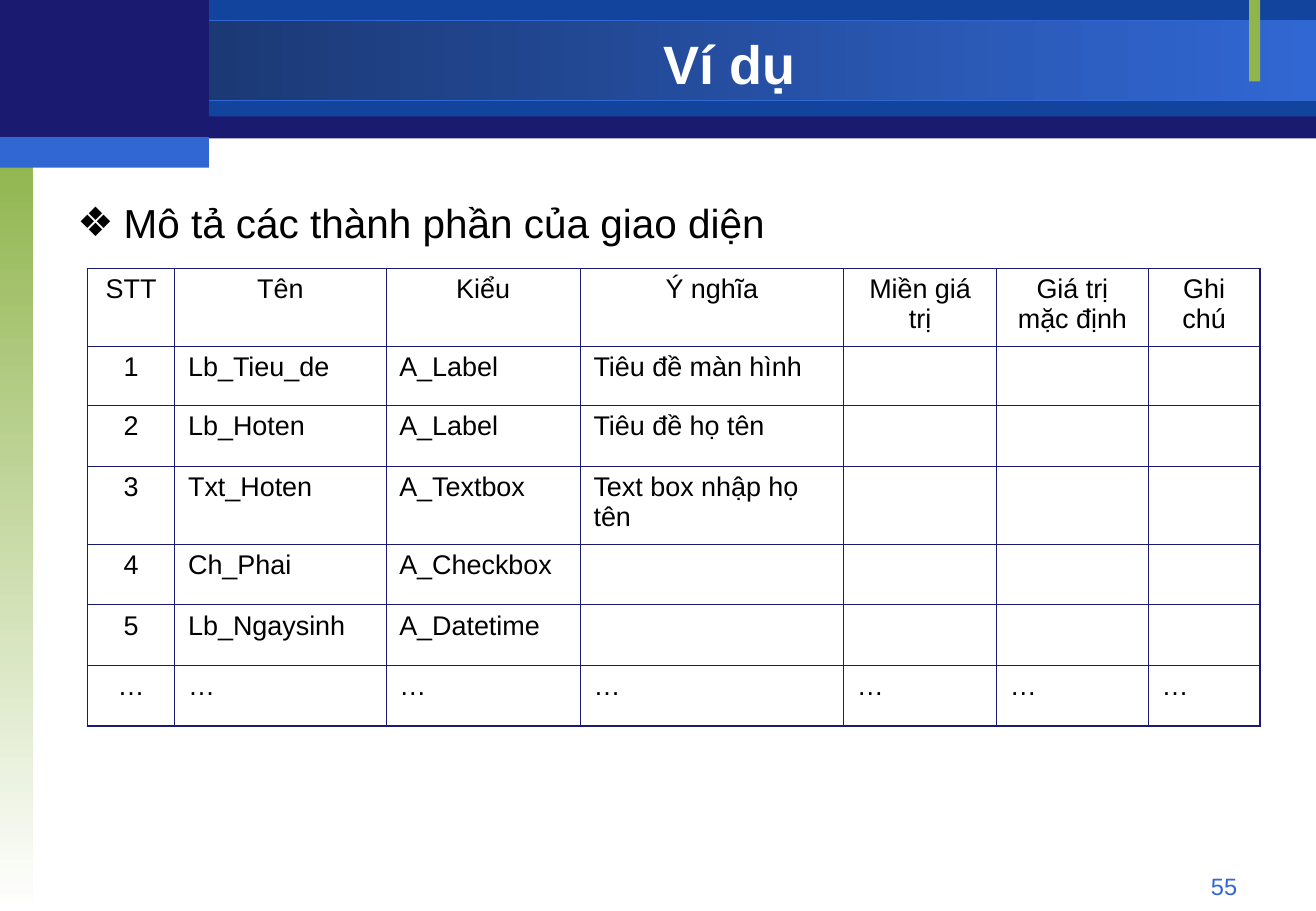
from lxml.etree import SubElement
from pptx import Presentation
from pptx.dml.color import RGBColor
from pptx.enum.shapes import MSO_SHAPE
from pptx.enum.text import MSO_ANCHOR, PP_ALIGN
from pptx.oxml.ns import qn
from pptx.util import Inches, Pt

NAVY, BLUE, BRIGHT, GREEN = "1A1A70", "12449E", "3167D3", "90B54D"
WHITE, BLACK = "FFFFFF", "000000"
FONT = "Arial"

# left, top, width, height, fill colours (two make a gradient), gradient angle, outline
BANDS = [
    (0, 0.01, 10.84, 1.13, [NAVY], 0, None),
    (1.72, 0, 9.12, 0.96, [BLUE], 0, None),
    (0, 0.17, 10.84, 0.66, ["173062", BRIGHT], 0, BRIGHT),
    (0, 1.25, 0.27, 6.25, [GREEN, WHITE], 270, None),
    (10.29, 0, 0.09, 0.67, [GREEN], 0, None),
    (0, 0, 1.72, 1.17, [NAVY], 0, None),
    (0, 1.13, 1.72, 0.25, [BRIGHT], 0, None),
]
TITLE = "Ví dụ"
HEADING = "Mô tả các thành phần của giao diện"
PAGE_NUMBER = "55"

COMPONENTS = [
    ("STT", "Tên", "Kiểu", "Ý nghĩa", "Miền giá trị", "Giá trị mặc định", "Ghi chú"),
    ("1", "Lb_Tieu_de", "A_Label", "Tiêu đề màn hình", "", "", ""),
    ("2", "Lb_Hoten", "A_Label", "Tiêu đề họ tên", "", "", ""),
    ("3", "Txt_Hoten", "A_Textbox", "Text box nhập họ tên", "", "", ""),
    ("4", "Ch_Phai", "A_Checkbox", "", "", "", ""),
    ("5", "Lb_Ngaysinh", "A_Datetime", "", "", "", ""),
    ("…",) * 7,
]
COLUMN_WIDTHS = [0.72, 1.74, 1.6, 2.17, 1.26, 1.25, 0.92]
ROW_HEIGHTS = [0.64, 0.49, 0.5, 0.64, 0.5, 0.5, 0.5]
OUTER_LINE, INNER_LINE = 1.08, 0.45


def color(hex_code):
    return RGBColor.from_string(hex_code)


def add_band(page, left, top, width, height, colors, angle, outline):
    band = page.shapes.add_shape(MSO_SHAPE.RECTANGLE, Inches(left), Inches(top),
                                 Inches(width), Inches(height))
    band.shadow.inherit = False
    if len(colors) == 1:
        band.fill.solid()
        band.fill.fore_color.rgb = color(colors[0])
    else:
        band.fill.gradient()
        band.fill.gradient_angle = angle
        for stop, hex_code in zip(band.fill.gradient_stops, colors):
            stop.color.rgb = color(hex_code)
    if outline:
        band.line.color.rgb = color(outline)
        band.line.width = Pt(0.75)
    else:
        band.line.fill.background()


def write(para, text, size, hex_code, align=PP_ALIGN.LEFT, bold=False):
    para.alignment = align
    span = para.add_run()
    span.text = text
    span.font.name = FONT
    span.font.size = Pt(size)
    span.font.bold = bold
    span.font.color.rgb = color(hex_code)


def add_box(page, left, top, width, height, anchor=MSO_ANCHOR.TOP):
    """Add a wrapping text box and return its first paragraph."""
    box = page.shapes.add_textbox(Inches(left), Inches(top), Inches(width), Inches(height))
    box.text_frame.word_wrap = True
    box.text_frame.vertical_anchor = anchor
    return box.text_frame.paragraphs[0]


def set_bullet(para, symbol, indent):
    properties = para._p.get_or_add_pPr()
    properties.set("marL", str(Inches(indent)))
    properties.set("indent", str(-Inches(indent)))
    bullet_color = SubElement(properties, qn("a:buClr"))
    SubElement(bullet_color, qn("a:srgbClr"), val=BLACK)
    SubElement(properties, qn("a:buFont"), typeface=FONT)
    SubElement(properties, qn("a:buChar"), char=symbol)


def set_borders(cell, outer_sides):
    properties = cell._tc.get_or_add_tcPr()
    for side in "LRTB":
        width = OUTER_LINE if side in outer_sides else INNER_LINE
        line = SubElement(properties, qn(f"a:ln{side}"), w=str(Pt(width)))
        fill = SubElement(line, qn("a:solidFill"))
        SubElement(fill, qn("a:srgbClr"), val=NAVY)


def add_components_table(page, left, top):
    last_row, last_column = len(ROW_HEIGHTS) - 1, len(COLUMN_WIDTHS) - 1
    table = page.shapes.add_table(
        len(ROW_HEIGHTS), len(COLUMN_WIDTHS), Inches(left), Inches(top),
        Inches(sum(COLUMN_WIDTHS)), Inches(sum(ROW_HEIGHTS))).table
    table.first_row = table.horz_banding = False
    for column, width in zip(table.columns, COLUMN_WIDTHS):
        column.width = Inches(width)
    for row, height in zip(table.rows, ROW_HEIGHTS):
        row.height = Inches(height)
    for r, texts in enumerate(COMPONENTS):
        for c, text in enumerate(texts):
            cell = table.cell(r, c)
            cell.margin_left = cell.margin_right = Inches(0.11)
            cell.margin_top = cell.margin_bottom = Inches(0.05)
            edges = {"L": c == 0, "R": c == last_column, "T": r == 0, "B": r == last_row}
            set_borders(cell, [side for side, is_outer in edges.items() if is_outer])
            cell.fill.background()
            if text:
                align = PP_ALIGN.CENTER if r == 0 or c == 0 else PP_ALIGN.LEFT
                write(cell.text_frame.paragraphs[0], text, 16, BLACK, align)


def main():
    deck = Presentation()
    deck.slide_width, deck.slide_height = Inches(10.84), Inches(7.5)
    page = deck.slides.add_slide(deck.slide_layouts[6])
    page.background.fill.solid()
    page.background.fill.fore_color.rgb = color(WHITE)

    for band in BANDS:
        add_band(page, *band)

    write(add_box(page, 7.76, 7.13, 2.53, 0.27), PAGE_NUMBER, 14, BRIGHT, PP_ALIGN.RIGHT)
    write(add_box(page, 1.72, 0.23, 8.58, 0.58, MSO_ANCHOR.MIDDLE),
          TITLE, 32, WHITE, PP_ALIGN.CENTER, bold=True)

    heading = add_box(page, 0.54, 1.5, 9.66, 5.5)
    set_bullet(heading, "❖", 0.38)
    heading.line_spacing = 1.2
    write(heading, HEADING, 24, BLACK)

    add_components_table(page, 0.72, 2.21)
    deck.save("out.pptx")


if __name__ == "__main__":
    main()
